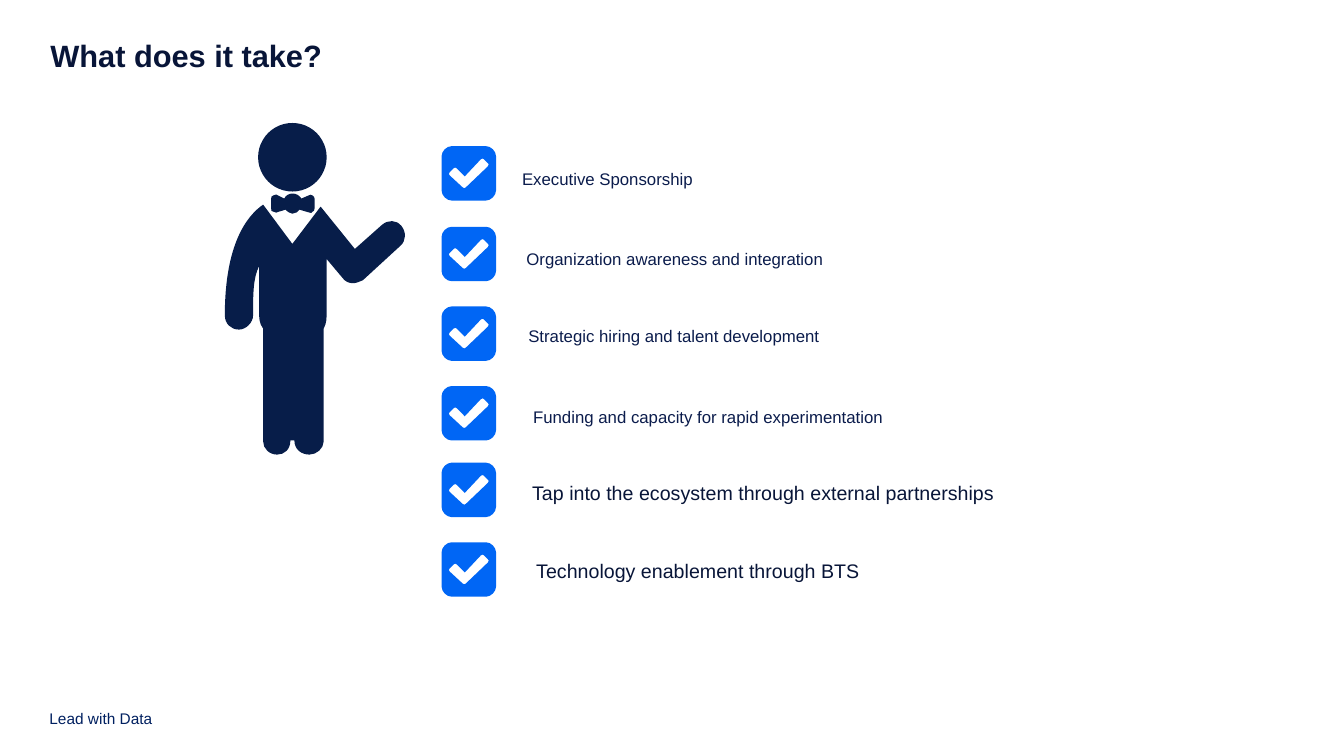
from dataclasses import dataclass

from lxml.etree import SubElement
from pptx import Presentation
from pptx.dml.color import RGBColor
from pptx.enum.shapes import MSO_SHAPE
from pptx.enum.text import MSO_ANCHOR, MSO_AUTO_SIZE, PP_ALIGN
from pptx.oxml.ns import qn
from pptx.shapes.autoshape import Shape
from pptx.shapes.shapetree import GroupShapes, SlideShapes
from pptx.text.text import TextFrame
from pptx.util import Inches, Pt

FONT = "Arial"
NAVY = "071D49"
BLUE = "0066F5"
DARK = "081538"
LABEL = "0B1C4C"
FOOTER = "002060"
CHECK_LEFT = 4.38

Contour = list[tuple[float, ...]]

BOX: Contour = [
    (0.54, 0.44), (0.54, 0.49, 0.49, 0.54, 0.44, 0.54),
    (0.1, 0.54), (0.05, 0.54, 0, 0.49, 0, 0.44),
    (0, 0.1), (0, 0.05, 0.05, 0, 0.1, 0),
    (0.44, 0), (0.49, 0, 0.54, 0.05, 0.54, 0.1),
]
TICK: Contour = [
    (0.46, 0.2), (0.47, 0.19, 0.47, 0.17, 0.46, 0.17),
    (0.42, 0.13), (0.42, 0.12, 0.4, 0.12, 0.39, 0.13),
    (0.23, 0.3), (0.15, 0.22), (0.14, 0.21, 0.13, 0.21, 0.12, 0.22),
    (0.08, 0.26), (0.07, 0.27, 0.07, 0.28, 0.08, 0.29),
    (0.21, 0.41), (0.22, 0.42, 0.23, 0.42, 0.24, 0.41),
]
BODY: Contour = [
    (2.61, 2.03), (2.9, 2.42), (3.18, 2.05), (3.52, 2.47), (3.79, 2.23),
    (3.85, 2.18, 3.93, 2.18, 3.98, 2.24), (4.03, 2.3, 4.03, 2.39, 3.97, 2.44),
    (3.6, 2.78), (3.57, 2.79, 3.54, 2.81, 3.5, 2.81),
    (3.46, 2.81, 3.42, 2.79, 3.4, 2.76),
    (3.24, 2.57), (3.24, 3.09), (3.24, 3.15, 3.24, 3.21, 3.21, 3.26),
    (3.21, 4.38), (3.21, 4.45, 3.14, 4.51, 3.07, 4.51),
    (2.99, 4.51, 2.92, 4.46, 2.92, 4.37),
    (2.88, 4.37), (2.88, 4.46, 2.82, 4.51, 2.75, 4.51),
    (2.67, 4.51, 2.61, 4.45, 2.61, 4.38),
    (2.61, 3.26), (2.57, 3.21, 2.57, 3.15, 2.57, 3.09),
    (2.57, 2.64), (2.51, 2.76, 2.51, 2.92, 2.51, 3.13),
    (2.51, 3.2, 2.44, 3.27, 2.37, 3.27), (2.29, 3.27, 2.23, 3.21, 2.23, 3.13),
    (2.23, 2.42, 2.45, 2.14, 2.61, 2.03),
]
BOW_TIE: Contour = [
    (2.74, 1.93), (2.82, 1.97),
    (2.83, 1.94, 2.87, 1.92, 2.9, 1.92), (2.94, 1.92, 2.97, 1.94, 2.99, 1.97),
    (3.06, 1.94), (3.07, 1.93, 3.09, 1.93, 3.1, 1.94),
    (3.11, 1.94, 3.12, 1.96, 3.12, 1.97),
    (3.12, 2.07), (3.12, 2.09, 3.11, 2.1, 3.1, 2.1),
    (3.1, 2.11, 3.08, 2.12, 3.07, 2.11), (3.04, 2.1, 3, 2.09, 2.97, 2.08),
    (2.96, 2.1, 2.93, 2.12, 2.9, 2.12), (2.88, 2.12, 2.85, 2.1, 2.83, 2.08),
    (2.81, 2.09, 2.76, 2.1, 2.74, 2.11), (2.72, 2.11, 2.72, 2.11, 2.71, 2.1),
    (2.69, 2.1, 2.69, 2.09, 2.69, 2.07),
    (2.69, 1.97), (2.69, 1.96, 2.69, 1.94, 2.71, 1.94),
    (2.72, 1.93, 2.73, 1.93, 2.74, 1.93),
]


@dataclass
class ChecklistItem:
    text: str
    check_top: float
    left: float
    top: float
    width: float
    height: float = 0.27
    wrap: bool = True
    size: int = 12
    color: str = LABEL
    align: PP_ALIGN = PP_ALIGN.CENTER
    inset: bool = False


ITEMS = [
    ChecklistItem("Executive Sponsorship", 1.45, 4.67, 1.57, 2.21, wrap=False),
    ChecklistItem("Organization awareness and integration", 2.25, 4.66, 2.37, 3.57),
    ChecklistItem("Strategic hiring and talent development", 3.04, 4.73, 3.13, 3.41, wrap=False),
    ChecklistItem("Funding and capacity for rapid experimentation", 3.83, 4.56, 3.94, 4.43, 0.57),
    ChecklistItem("Tap into the ecosystem through external partnerships", 4.59,
                  4.68, 4.61, 6.67, 0.41, True, 14, DARK, PP_ALIGN.LEFT, True),
    ChecklistItem("Technology enablement through BTS", 5.38,
                  4.72, 5.38, 6.67, 0.41, True, 14, DARK, PP_ALIGN.LEFT, True),
]


def rgb(color: str) -> RGBColor:
    return RGBColor.from_string(color)


def paint(shape: Shape, color: str) -> None:
    shape.shadow.inherit = False
    shape.fill.solid()
    shape.fill.fore_color.rgb = rgb(color)
    shape.line.fill.background()


def bend_segments(shape: Shape, segments: Contour, left: float, top: float) -> None:
    lines = list(shape._element.iter(qn("a:lnTo")))
    for line, segment in zip(lines, segments):
        if len(segment) == 2:
            continue
        line.tag = qn("a:cubicBezTo")
        line.clear()
        for x, y in zip(segment[::2], segment[1::2]):
            SubElement(line, qn("a:pt"), x=str(Inches(left + x) - shape.left),
                       y=str(Inches(top + y) - shape.top))


def draw_outline(shapes: SlideShapes | GroupShapes, contours: list[Contour],
                 color: str, left: float = 0, top: float = 0) -> None:
    ends = [[(Inches(left + segment[-2]), Inches(top + segment[-1])) for segment in contour]
            for contour in contours]
    builder = shapes.build_freeform(*ends[0][0])
    builder.add_line_segments(ends[0][1:], close=False)
    builder.add_line_segments([], close=True)
    for points in ends[1:]:
        builder.move_to(*points[0])
        builder.add_line_segments(points[1:], close=True)
    shape = builder.convert_to_shape()
    segments = [segment for contour in contours for segment in contour[1:]]
    bend_segments(shape, segments, left, top)
    paint(shape, color)


def write(text_frame: TextFrame, text: str, size: int, color: str,
          bold: bool = False, inset: bool = False) -> None:
    text_frame.text = text
    text_frame.word_wrap = True
    if not inset:
        text_frame.margin_left = text_frame.margin_right = 0
        text_frame.margin_top = text_frame.margin_bottom = 0
    font = text_frame.paragraphs[0].runs[0].font
    font.name = FONT
    font.size = Pt(size)
    font.bold = bold
    font.color.rgb = rgb(color)


def draw_item(shapes: SlideShapes, item: ChecklistItem) -> None:
    draw_outline(shapes, [BOX, TICK], BLUE, CHECK_LEFT, item.check_top)
    label = shapes.add_textbox(Inches(item.left), Inches(item.top),
                               Inches(item.width), Inches(item.height))
    text_frame = label.text_frame
    write(text_frame, item.text, item.size, item.color, inset=item.inset)
    text_frame.word_wrap = item.wrap
    text_frame.auto_size = MSO_AUTO_SIZE.SHAPE_TO_FIT_TEXT
    paragraph = text_frame.paragraphs[0]
    paragraph.alignment = item.align
    paragraph.line_spacing = 1.5
    properties = paragraph._p.get_or_add_pPr()
    properties.set("marL", str(Inches(0.5)))
    properties.set("indent", "0")


def draw_presenter(shapes: SlideShapes) -> None:
    presenter = shapes.add_group_shape()
    head = presenter.shapes.add_shape(MSO_SHAPE.OVAL, Inches(2.56), Inches(1.22),
                                      Inches(0.68), Inches(0.68))
    paint(head, NAVY)
    for contour in (BODY, BOW_TIE):
        draw_outline(presenter.shapes, [contour], NAVY)


def main() -> None:
    presentation = Presentation()
    presentation.slide_width = Inches(13.33)
    presentation.slide_height = Inches(7.5)
    slide = presentation.slides.add_slide(presentation.slide_layouts[5])
    title = slide.shapes.title
    title.left, title.top = Inches(0.5), Inches(0.36)
    title.width, title.height = Inches(8.33), Inches(1.08)
    write(title.text_frame, "What does it take?", 22, DARK, bold=True)
    title.text_frame.vertical_anchor = MSO_ANCHOR.TOP
    title.text_frame.paragraphs[0].alignment = PP_ALIGN.LEFT
    draw_presenter(slide.shapes)
    for item in ITEMS:
        draw_item(slide.shapes, item)
    footer = slide.shapes.add_textbox(Inches(0.49), Inches(7), Inches(1.76), Inches(0.22))
    write(footer.text_frame, "Lead with Data", 11, FOOTER)
    footer.text_frame.vertical_anchor = MSO_ANCHOR.BOTTOM
    presentation.save("out.pptx")


if __name__ == "__main__":
    main()
